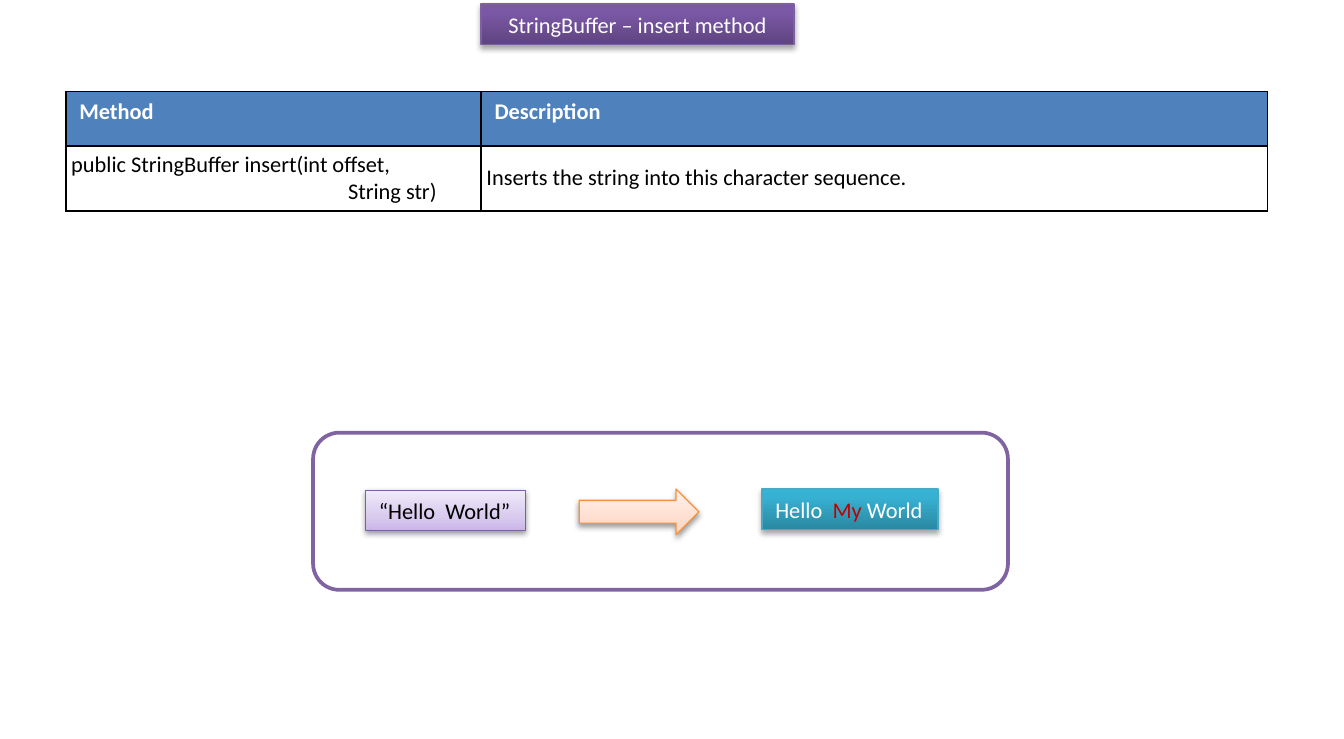
from pptx import Presentation
from pptx.dml.color import RGBColor
from pptx.enum.shapes import MSO_SHAPE
from pptx.enum.text import MSO_ANCHOR, MSO_AUTO_SIZE, PP_ALIGN
from pptx.oxml import parse_xml
from pptx.oxml.ns import nsdecls
from pptx.util import Inches, Pt

theme = {
    "font": "Calibri", "size": 12, "edge": 0.75,
    "white": "FFFFFF", "black": "000000", "red": "C00000",
    "head": "4F81BD", "frame": "8064A2",
    "title": ("7D60A0", 35, 1.8, [(0, "5F4480"), (80, "7B58A6"), (100, "7C57A8")]),
    "start": ("7D60A0", 38, 1.6, [(0, "C9B5E8"), (35, "D8CBEE"), (100, "F0EAF9")]),
    "end": ("46AAC5", 35, 1.8, [(0, "2A88A2"), (80, "37B1D2"), (100, "34B4D6")]),
    "arrow": ("F69240", 38, 1.6, [(0, "FFD2BD"), (35, "FFDED0"), (100, "FFF2ED")]),
}

deck = Presentation()
deck.slide_width, deck.slide_height = Inches(10), Inches(5.5)
slide = deck.slides.add_slide(deck.slide_layouts[6])
wide, high = deck.slide_width / 100, deck.slide_height / 100


def place(x, y, w, h):
    return int(x * wide), int(y * high), int(w * wide), int(h * high)


def write(par, runs, bold=False):
    for text, tone in runs:
        run = par.add_run()
        run.text = text
        style = {"name": theme["font"], "size": Pt(theme["size"]), "bold": bold}
        for key, value in style.items():
            setattr(run.font, key, value)
        run.font.color.rgb = RGBColor.from_string(theme[tone])


panel = slide.shapes.add_shape(MSO_SHAPE.ROUNDED_RECTANGLE, *place(23.3, 58.55, 51.7, 21.27))
panel.shadow.inherit = False
panel.fill.solid()
panel.fill.fore_color.rgb = RGBColor.from_string(theme["white"])
panel.line.color.rgb = RGBColor.from_string(theme["frame"])
panel.line.width = Pt(2)

items = [
    ("title", MSO_SHAPE.RECTANGLE, (35.8, 0.55, 23.3, 5.45), PP_ALIGN.CENTER, True,
     [("StringBuffer – insert method", "white")]),
    ("start", MSO_SHAPE.RECTANGLE, (27.2, 66.36, 11.9, 5.45), PP_ALIGN.LEFT, False,
     [("“Hello  World”", "black")]),
    ("end", MSO_SHAPE.RECTANGLE, (56.7, 66.18, 13.1, 5.45), PP_ALIGN.LEFT, False,
     [("Hello  ", "white"), ("My", "red"), (" World", "white")]),
    ("arrow", MSO_SHAPE.RIGHT_ARROW, (43.1, 66.18, 8.9, 6.18), None, True, []),
]
for name, kind, area, align, wrap, runs in items:
    edge, alpha, drop, stops = theme[name]
    shape = slide.shapes.add_shape(kind, *place(*area))
    marks = "".join(f'<a:gs pos="{pos * 1000}"><a:srgbClr val="{tone}"/></a:gs>' for pos, tone in stops)
    shape._element.spPr.append(parse_xml(
        f'<a:gradFill {nsdecls("a")} rotWithShape="1"><a:gsLst>{marks}</a:gsLst>'
        '<a:lin ang="16200000" scaled="0"/></a:gradFill>'))
    shape.line.color.rgb = RGBColor.from_string(edge)
    shape.line.width = Pt(theme["edge"])
    shape.shadow.inherit = False
    shape._element.spPr.effectLst.append(parse_xml(
        f'<a:outerShdw {nsdecls("a")} blurRad="{Pt(3.1)}" dist="{Pt(drop)}" dir="5400000" rotWithShape="0">'
        f'<a:srgbClr val="{theme["black"]}"><a:alpha val="{alpha * 1000}"/></a:srgbClr></a:outerShdw>'))
    if runs:
        frame = shape.text_frame
        style = {"word_wrap": wrap, "auto_size": MSO_AUTO_SIZE.SHAPE_TO_FIT_TEXT,
                 "vertical_anchor": MSO_ANCHOR.TOP}
        for key, value in style.items():
            setattr(frame, key, value)
        frame.paragraphs[0].alignment = align
        write(frame.paragraphs[0], runs)

rows = [
    [["Method"], ["Description"]],
    [["public StringBuffer insert(int offset,", "String str)"],
     ["Inserts the string into this character sequence."]],
]
table = slide.shapes.add_table(2, 2, *place(4.9, 12.36, 89.4, 16.18)).table
for col, share in zip(table.columns, (30.9, 58.5)):
    col.width = int(share * wide)
for row, share in zip(table.rows, (7.36, 8.82)):
    row.height = int(share * high)

inset = Inches(0.04)
body = {"vertical_anchor": MSO_ANCHOR.MIDDLE, "margin_left": inset, "margin_right": inset,
        "margin_top": inset, "margin_bottom": inset}
for r, row in enumerate(rows):
    for c, lines in enumerate(row):
        cell = table.cell(r, c)
        for key, value in (body if r else {}).items():
            setattr(cell, key, value)
        for n, text in enumerate(lines):
            par = cell.text_frame.add_paragraph() if n else cell.text_frame.paragraphs[0]
            if n:
                par._p.get_or_add_pPr().set("marL", str(Inches(2.06)))
            write(par, [(text, "black" if r else "white")], bold=not r)
        props = cell._tc.get_or_add_tcPr()
        for side in ("lnL", "lnR", "lnT", "lnB"):
            props.append(parse_xml(
                f'<a:{side} {nsdecls("a")} w="{Pt(1)}"><a:solidFill>'
                f'<a:srgbClr val="{theme["black"]}"/></a:solidFill></a:{side}>'))
        cell.fill.solid()
        cell.fill.fore_color.rgb = RGBColor.from_string(theme["white" if r else "head"])

deck.save("out.pptx")
